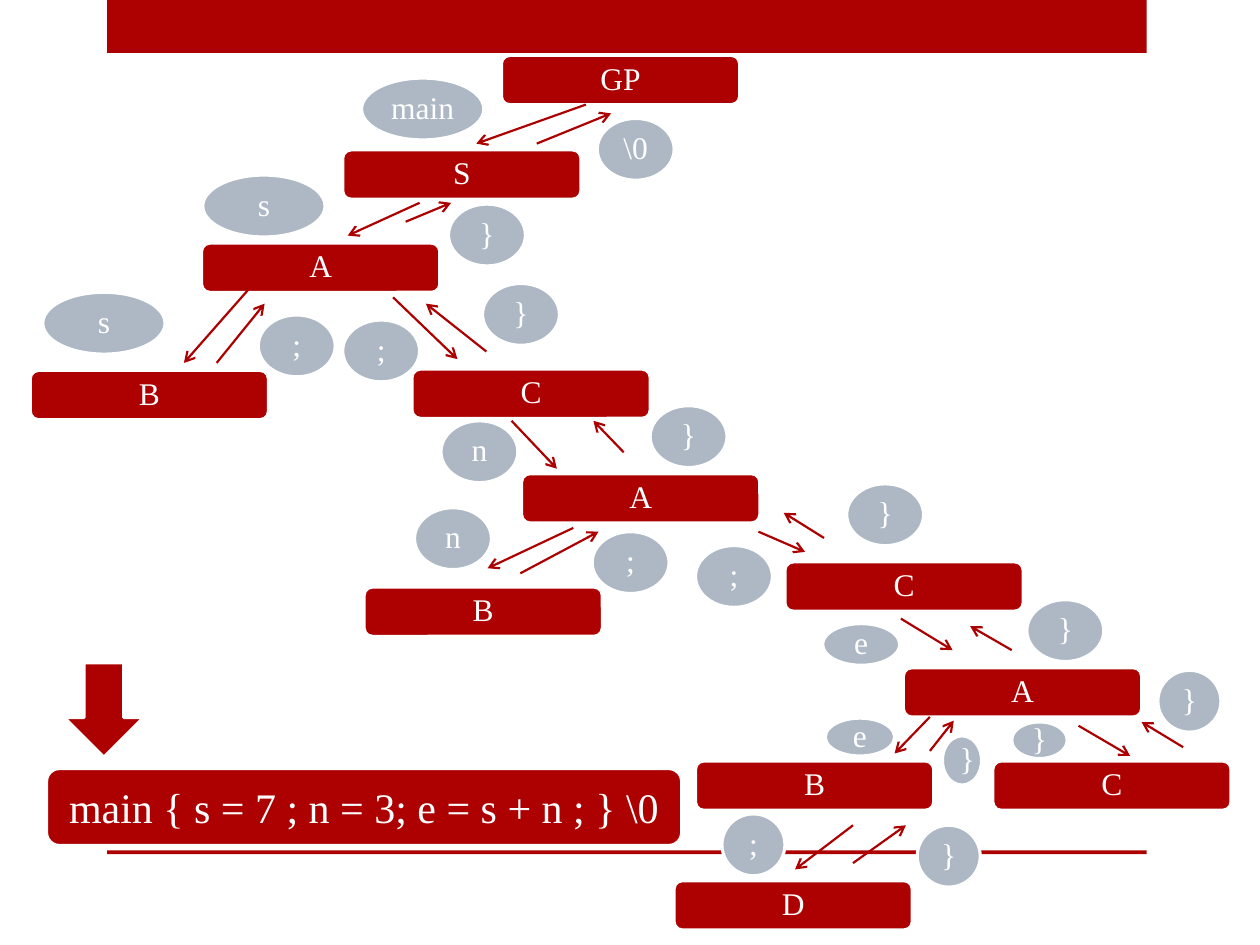
from lxml import etree
from pptx import Presentation
from pptx import util as u
from pptx.dml.color import RGBColor
from pptx.enum import shapes, text
from pptx.oxml.ns import qn

COLORS = {"red": "AD0101", "grey": "ADB8C4", "white": "FFFFFF"}
FONT = "Times New Roman"
NODE_SIZE = (1.89, 0.39)
WIDE, ROUND, SMALL = (0.97, 0.49), (0.61, 0.49), (0.5, 0.49)

# Parse tree nodes: symbol, left, top
NODES = [
    ("GP", 3.98, 0.44), ("S", 2.72, 1.19), ("A", 1.6, 1.93),
    ("B", 0.24, 2.94), ("C", 3.27, 2.93), ("A", 4.14, 3.76),
    ("B", 2.89, 4.66), ("C", 6.23, 4.46), ("A", 7.17, 5.3),
    ("B", 5.52, 6.04), ("C", 7.88, 6.04), ("D", 5.35, 6.99),
]

# Lookahead tokens: token, left, top, size
TOKENS = [
    ("main", 2.87, 0.62, WIDE), ("s", 1.61, 1.39, WIDE), ("s", 0.34, 2.32, WIDE),
    (";", 2.05, 2.5, ROUND), (";", 2.72, 2.54, ROUND), ("n", 3.5, 3.34, ROUND),
    ("n", 3.29, 4.03, ROUND), (";", 4.7, 4.22, ROUND), (";", 5.52, 4.33, ROUND),
    ("e", 6.53, 4.95, (0.61, 0.33)), ("e", 6.55, 5.7, (0.55, 0.3)),
    ("}", 7.48, 5.84, (0.31, 0.39)), ("}", 8.03, 5.73, (0.44, 0.29)),
    ("}", 8.15, 4.76, ROUND), ("}", 6.72, 3.84, ROUND), ("}", 5.16, 3.22, ROUND),
    ("}", 3.83, 2.25, ROUND), ("}", 3.56, 1.62, ROUND), ("\\0", 4.74, 0.94, ROUND),
    ("}", 9.19, 5.32, SMALL), ("}", 7.28, 6.55, SMALL), (";", 5.73, 6.46, SMALL),
]

# Calls down the tree and returns up it: start x, start y, end x, end y
CALLS = [
    (4.65, 0.83, 3.78, 1.14), (3.33, 1.61, 2.76, 1.87), (1.97, 2.3, 1.46, 2.88),
    (3.12, 2.36, 3.63, 2.85), (4.06, 3.34, 4.42, 3.72), (4.55, 4.19, 3.87, 4.51),
    (6.02, 4.22, 6.39, 4.38), (7.15, 4.91, 7.56, 5.16), (7.38, 5.69, 7.1, 5.98),
    (8.56, 5.76, 8.97, 6), (6.77, 6.55, 6.31, 6.9),
]
RETURNS = [
    (4.26, 1.14, 4.85, 0.9), (3.22, 1.76, 3.58, 1.61), (1.72, 2.88, 2.1, 2.41),
    (3.86, 2.79, 3.38, 2.41), (4.95, 3.59, 4.71, 3.34), (4.13, 4.55, 4.75, 4.22),
    (6.54, 4.27, 6.22, 4.07), (8.03, 5.16, 7.7, 4.97), (7.38, 5.96, 7.57, 5.72),
    (9.39, 5.93, 9.06, 5.73), (6.77, 6.85, 7.19, 6.55),
]


def color(name):
    return RGBColor.from_string(COLORS[name])


def add_figure(page, kind, left, top, size, fill="red", outlined=True):
    figure = page.shapes.add_shape(
        kind, *(u.Inches(length) for length in (left, top, *size)))
    figure.shadow.inherit = False
    figure.fill.solid()
    figure.fill.fore_color.rgb = color(fill)
    if outlined:
        figure.line.color.rgb = color("white")
        figure.line.width = u.Pt(1.75)
    else:
        figure.line.fill.background()
    return figure


def write_label(figure, label, size=18, line_spacing=0.9):
    frame = figure.text_frame
    frame.text = label
    frame.word_wrap = True
    frame.vertical_anchor = text.MSO_ANCHOR.MIDDLE
    frame.margin_left = frame.margin_right = u.Inches(0.09)
    frame.margin_top = frame.margin_bottom = u.Inches(0.09)
    para = frame.paragraphs[0]
    para.alignment = text.PP_ALIGN.CENTER
    para.line_spacing = line_spacing
    span = para.runs[0]
    span.font.name = FONT
    span.font.size = u.Pt(size)
    span.font.color.rgb = color("white")


def add_arrow(page, *ends):
    arrow = page.shapes.add_connector(
        shapes.MSO_CONNECTOR.STRAIGHT, *(u.Inches(end) for end in ends))
    arrow.line.color.rgb = color("red")
    arrow.line.width = u.Pt(1.25)
    etree.SubElement(arrow.line._get_or_add_ln(), qn("a:tailEnd"), type="arrow")
    etree.SubElement(arrow._element.spPr, qn("a:effectLst"))


def main():
    deck = Presentation()
    deck.slide_width, deck.slide_height = u.Inches(10), u.Inches(7.5)
    page = deck.slides.add_slide(deck.slide_layouts[6])
    kinds = shapes.MSO_SHAPE

    # Top band and bottom rule
    for top, height in ((0, 0.42), (6.75, 0.03)):
        add_figure(page, kinds.RECTANGLE, 0.85, top, (8.25, height), outlined=False)

    # Program being parsed
    program = add_figure(page, kinds.ROUNDED_RECTANGLE, 0.37, 6.1, (5.04, 0.61))
    write_label(program, "main { s = 7 ; n = 3; e = s + n ; } \\0", 24, 1.0)
    add_figure(page, kinds.DOWN_ARROW, 0.51, 5.26, (0.63, 0.75))

    # Parse tree
    for symbol, left, top in NODES:
        node = add_figure(page, kinds.ROUNDED_RECTANGLE, left, top, NODE_SIZE)
        write_label(node, symbol)
    for token, left, top, size in TOKENS:
        write_label(add_figure(page, kinds.OVAL, left, top, size, "grey"), token)
    for ends in CALLS + RETURNS:
        add_arrow(page, *ends)

    deck.save("out.pptx")


if __name__ == "__main__":
    main()
